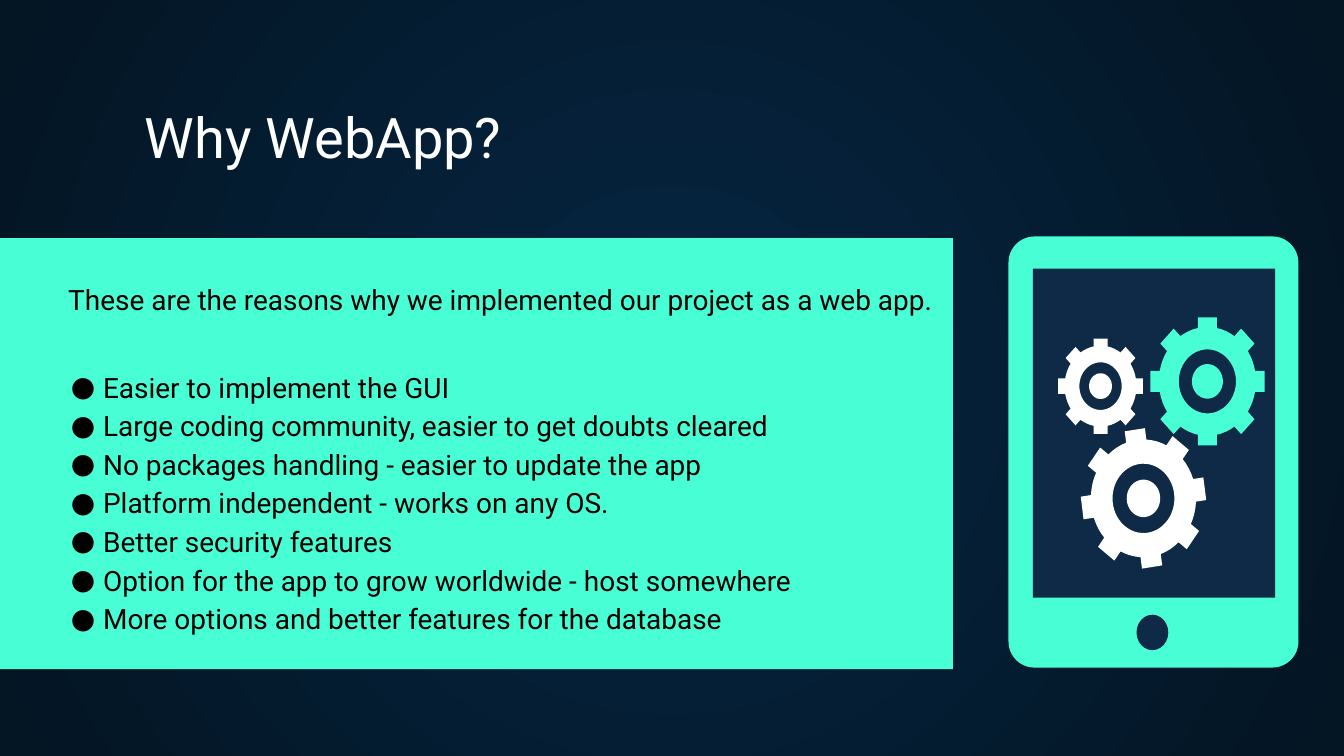
from math import asin, cos, degrees, hypot, radians, sin

from lxml import etree
from pptx import Presentation
from pptx.dml.color import RGBColor
from pptx.enum.shapes import MSO_SHAPE
from pptx.enum.text import MSO_ANCHOR
from pptx.oxml.ns import qn
from pptx.util import Cm, Pt

RECT, ROUND_RECT, OVAL = MSO_SHAPE.RECTANGLE, MSO_SHAPE.ROUNDED_RECTANGLE, MSO_SHAPE.OVAL
TOP, BOTTOM = MSO_ANCHOR.TOP, MSO_ANCHOR.BOTTOM

COLORS = {"glow": "052643", "night": "041523", "mint": "48FFD5",
          "navy": "0E2A47", "white": "FFFFFF", "black": "000000"}
TITLE_FORMAT = {"name": "Roboto", "size": Pt(30)}
BODY_FORMAT = {"name": "Roboto", "size": Pt(15)}
INTRO = "These are the reasons why we implemented our project as a web app."
REASONS = [
    "Easier to implement the GUI",
    "Large coding community, easier to get doubts cleared",
    "No packages handling - easier to update the app",
    "Platform independent - works on any OS.",
    "Better security features",
    "Option for the app to grow worldwide - host somewhere",
    "More options and better features for the database",
]
# centre x, centre y, radius x, radius y (cm, within the tablet), tilt, colour
GEARS = [
    (3.76, 2.74, 1.08, 1.21, 0, "mint"),
    (1.74, 2.83, 0.8, 0.9, 0, "white"),
    (2.55, 4.95, 1.17, 1.31, -8, "white"),
]


def rgb(color):
    return RGBColor.from_string(COLORS[color])


def paint(sp, color):
    sp.shadow.inherit = False
    sp.fill.solid()
    sp.fill.fore_color.rgb = rgb(color)
    sp.line.fill.background()


def add_block(shapes, kind, box, color):
    sp = shapes.add_shape(kind, *map(Cm, box))
    paint(sp, color)
    return sp


def add_text_frame(s, box, anchor):
    tf = s.shapes.add_textbox(*map(Cm, box)).text_frame
    formats = {"word_wrap": True, "vertical_anchor": anchor}
    formats.update({f"margin_{side}": Cm(0.25) for side in ("left", "top", "right", "bottom")})
    for name, value in formats.items():
        setattr(tf, name, value)
    return tf


def write(p, text, formats, color):
    r = p.add_run()
    r.text = text
    for name, value in formats.items():
        setattr(r.font, name, value)
    r.font.color.rgb = rgb(color)


def add_bullet(p):
    pPr = p._p.get_or_add_pPr()
    pPr.set("marL", str(Cm(0.66)))
    pPr.set("indent", str(Cm(-0.61)))
    buClr = etree.SubElement(pPr, qn("a:buClr"))
    etree.SubElement(buClr, qn("a:srgbClr"), val=COLORS["black"])
    etree.SubElement(pPr, qn("a:buFont"), typeface="Roboto")
    etree.SubElement(pPr, qn("a:buChar"), char="●")


def set_background(s):
    """Radial gradient, brightest in the middle of the slide."""
    fill = s.background.fill
    fill.gradient()
    for stop, color in zip(fill.gradient_stops, ("glow", "night")):
        stop.color.rgb = rgb(color)
    grad = s.element.find(".//" + qn("a:gradFill"))
    grad.remove(grad.find(qn("a:lin")))
    radial = etree.SubElement(grad, qn("a:path"), path="circle")
    etree.SubElement(radial, qn("a:fillToRect"), l="50000", t="50000", r="50000", b="50000")


def add_title(s, box):
    tf = add_text_frame(s, box, BOTTOM)
    write(tf.paragraphs[0], "Why WebApp?", TITLE_FORMAT, "white")


def add_reasons(s, box):
    x, y, w, h = box
    add_block(s.shapes, RECT, box, "mint")
    tf = add_text_frame(s, (x + 1.04, y + 0.6, w - 1.04, h - 0.6), TOP)
    write(tf.paragraphs[0], INTRO, BODY_FORMAT, "black")
    for i, reason in enumerate(REASONS):
        p = tf.add_paragraph()
        add_bullet(p)
        p.line_spacing = 1.15
        p.space_before = Pt(0 if i else 26)
        write(p, reason, BODY_FORMAT, "black")


def circle(radius):
    return [(radius, angle) for angle in range(0, 360, 6)]


def toothed_rim(teeth=8, body=0.85, half_tooth=0.165):
    """Polar points of a rim whose tooth tips touch the unit circle."""
    step = 360 / teeth
    root = degrees(asin(half_tooth / body))
    tip = degrees(asin(half_tooth / hypot(1, half_tooth)))
    arc = [root + (step - 2 * root) * k / 4 for k in range(5)]
    points = []
    for i in range(teeth):
        mid = i * step
        points += [(hypot(1, half_tooth), mid + a) for a in (-tip, tip)]
        points += [(body, mid + a) for a in arc]
    return points


def add_gear(shapes, cx, cy, rx, ry, tilt, color):
    def place(point):
        radius, angle = point
        a = radians(angle + tilt)
        return Cm(cx + rx * radius * cos(a)), Cm(cy + ry * radius * sin(a))

    rim, hole, hub = ([place(point) for point in contour]
                      for contour in (toothed_rim(), circle(0.5), circle(0.27)))
    builder = shapes.build_freeform(*rim[0])
    builder.add_line_segments(rim[1:])
    for contour in (hole, hub):
        builder.move_to(*contour[0])
        builder.add_line_segments(contour[1:])
    paint(builder.convert_to_shape(), color)


def add_tablet(s, box):
    x, y, w, h = box
    shapes = s.shapes.add_group_shape().shapes
    case = add_block(shapes, ROUND_RECT, box, "mint")
    case.adjustments[0] = 0.09
    add_block(shapes, RECT, (x + 0.46, y + 0.61, w - 0.9, h - 1.93), "navy")
    add_block(shapes, OVAL, (x + 2.42, y + 7.15, 0.6, 0.67), "navy")
    for cx, cy, *rest in GEARS:
        add_gear(shapes, x + cx, y + cy, *rest)


def main():
    prs = Presentation()
    prs.slide_width, prs.slide_height = Cm(25.4), Cm(14.29)
    s = prs.slides.add_slide(prs.slide_layouts[6])
    set_background(s)
    add_reasons(s, (0, 4.5, 18.01, 8.15))
    add_title(s, (2.49, 1.78, 22.05, 1.68))
    add_tablet(s, (19.06, 4.47, 5.48, 8.15))
    prs.save("out.pptx")


if __name__ == "__main__":
    main()
